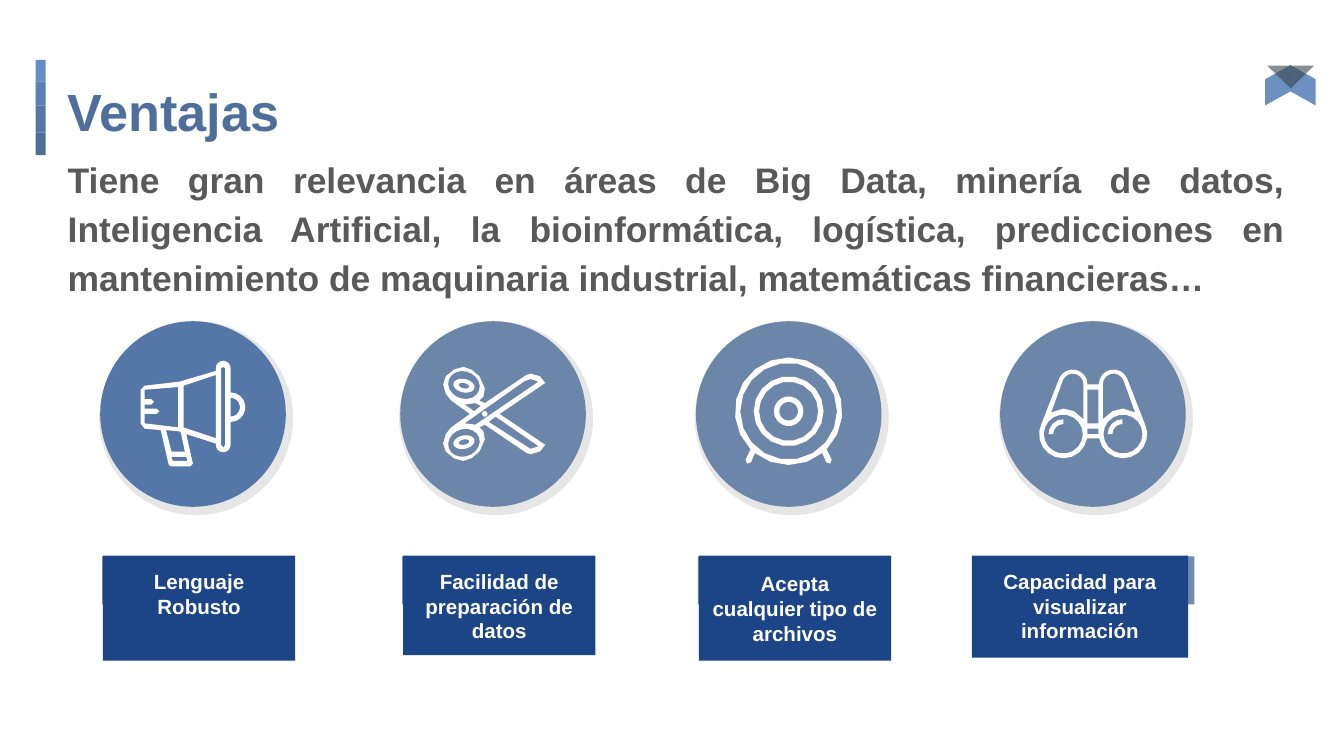
from math import cos, radians, sin

from lxml import etree
from pptx import Presentation
from pptx.dml.color import RGBColor
from pptx.enum import shapes as kinds, text as txt
from pptx.oxml import ns
from pptx.util import Pt

KIND = kinds.MSO_SHAPE
ALIGN = txt.PP_ALIGN
UNIT = 0.72  # points in one step of the icon grid


def arc(x, y, rx, ry, start, end, turn=0):
    """Points of an arc, clockwise from the right when end > start."""
    count = max(2, round(abs(end - start) / 20))
    spots = []
    for step in range(count + 1):
        angle = radians(start + (end - start) * step / count)
        a, b, tilt = rx * cos(angle), ry * sin(angle), radians(turn)
        spots.append((x + a * cos(tilt) - b * sin(tilt), y + a * sin(tilt) + b * cos(tilt)))
    return spots


def ring(x, y, rx, ry=None, turn=0):
    return arc(x, y, rx, ry or rx, 0, 360, turn)


def flip_x(points, axis):
    return [(2 * axis - x, y) for x, y in reversed(points)]


def flip_y(points, axis):
    return [(x, 2 * axis - y) for x, y in reversed(points)]


# Each icon is a list of contours, measured from the top left of its disc.
def horn():
    body = arc(91.5, 35, 5.5, 5.5, 360, 180) + [
        (86, 37), (59, 45), (33, 48), (30, 51), (30, 76), (33, 80), (45, 81), (51, 107),
        (53, 108), (67, 108), (69, 106), (64, 84), (86, 91)]
    body += arc(91.5, 92, 5.5, 5.5, 180, 0) + arc(97, 64, 11, 11, 90, -90)
    return [
        body,
        [(33, 76), (33, 69), (42, 69), (44, 67), (42, 65), (33, 65), (33, 62), (38, 62),
         (40, 60), (38, 58), (33, 58), (33, 51), (58, 49), (58, 79)],
        [(53, 97), (49, 81), (59, 82), (60, 83), (63, 97)],
        [(64, 101), (65, 104), (54, 104), (53, 101)],
        [(86, 87), (62, 79), (62, 48), (86, 40)],
        [(93, 92), (91.5, 94), (90, 92), (90, 35), (91.5, 34), (93, 35)],
        arc(97, 64, 7, 7, 90, -90),
    ]


def scissors():
    half = [(74, 69), (108, 46), (104, 41), (97, 39), (94, 40), (63, 61), (59, 59), (62, 56),
            (63, 50), (59, 41), (53, 36), (47, 34), (40, 36), (34, 41), (32, 47), (34, 54),
            (38, 59), (52, 69)]
    loop = [ring(47.5, 47.5, 12, 10.2, 20), ring(47.5, 48, 8, 5, 12), ring(47.5, 48, 4, 2, 12)]
    return [
        half + flip_y(half, 69), *loop, *[flip_y(part, 69) for part in loop],
        [(48, 62), (56, 61), (60, 63), (55, 67)],
        [(56, 77), (48, 76), (92, 45), (97, 43), (103, 45)],
        [(103, 93), (97, 95), (66, 75), (71, 71)],
        ring(63, 69, 2),
    ]


def target():
    leg = [(101, 103), (100, 106), (97, 105), (94, 98)]
    rim = arc(69, 67, 40, 40, 135, 405) + leg + arc(69, 67, 40, 40, 51, 129) + flip_x(leg, 69)
    return [rim] + [ring(69, 67, r) for r in (36, 26, 22, 11, 7)]


def glasses():
    half = arc(54, 47, 11, 11, 360, 205) + arc(47, 84, 18, 18, 207, 10)
    lens = ring(47, 84, 14.5)
    tube = [(62, 73), (55, 67), (47, 65), (38, 68)] + arc(54, 47, 8, 8, 205, 360)
    glint = arc(47, 84, 11, 11, 180, 270) + arc(47, 84, 7.5, 7.5, 270, 180)
    return [
        half + flip_x(half, 69.2),
        lens, flip_x(lens, 69.2), tube, flip_x(tube, 69.2),
        glint, [(x + 44, y) for x, y in glint],
        [(65, 80), (73, 80), (73, 84), (65, 84)],
        [(65, 51), (73, 51), (73, 76), (65, 76)],
    ]


# disc left, icon, disc colour and opacity, label text, label box, label anchor
CARDS = [
    (53.7, horn, ("5477A7", 100), "Lenguaje Robusto", (55.2, 103, 56.2), "TOP"),
    (214.4, scissors, ("4E6E9A", 80), "Facilidad de preparación de datos",
     (216, 103, 53.3), "TOP"),
    (372.8, target, ("4E6E9A", 80), "Acepta cualquier tipo de archivos",
     (374.4, 103, 56.2), "MIDDLE"),
    (535.8, glasses, ("4E6E9A", 80), "Capacidad para visualizar información",
     (520.6, 115.9, 54.7), "TOP"),
]


def paint(color, hue, alpha=100):
    """Set a fill or font colour; alpha is opacity in percent."""
    if hasattr(color, "solid"):
        color.solid()
        color = color.fore_color
    color.rgb = RGBColor.from_string(hue)
    if alpha < 100:
        node = color._xFill.find(ns.qn("a:srgbClr"))
        etree.SubElement(node, ns.qn("a:alpha")).set("val", str(alpha * 1000))


def finish(shape, hue, alpha=100):
    shape.shadow.inherit = False
    paint(shape.fill, hue, alpha)
    shape.line.fill.background()
    return shape


def block(slide, kind, box, hue, alpha=100, turn=0):
    shape = finish(slide.shapes.add_shape(kind, *map(Pt, box)), hue, alpha)
    shape.rotation = turn
    return shape


def icon(slide, left, top, parts):
    pen = None
    for part in parts:
        first, *rest = [(Pt(left + UNIT * x), Pt(top + UNIT * y)) for x, y in part]
        if pen:
            pen.move_to(*first)
        else:
            pen = slide.shapes.build_freeform(*first)
        pen.add_line_segments(rest, close=True)
    finish(pen.convert_to_shape(), "FFFFFF")


def write(shape, words, size, hue, align, anchor="TOP"):
    frame = shape.text_frame
    frame.word_wrap = True
    frame.vertical_anchor = txt.MSO_ANCHOR[anchor]
    frame.margin_left = frame.margin_right = Pt(7.2)
    frame.margin_top = frame.margin_bottom = Pt(7.2)
    frame.text = words
    para = frame.paragraphs[0]
    para.alignment = align
    font = para.runs[0].font
    font.name, font.size, font.bold = "Arial", Pt(size), True
    paint(font.color, hue)
    return para


def card(slide, left, top, draw, disc, words, label, anchor):
    block(slide, KIND.OVAL, (left - 0.6, top, 103.9, 103.9), "595959", 15)
    block(slide, KIND.OVAL, (left, top, 99.4, 99.4), *disc)
    icon(slide, left, top, draw())
    block(slide, KIND.RECTANGLE, (left + 1.1, top + 126, 103, 25.7), "4E6E9A", 80)
    x, wide, high = label
    tag = block(slide, KIND.RECTANGLE, (x, top + 125.6, wide, high), "1C4587")
    write(tag, words, 11, "FFFFFF", ALIGN.CENTER, anchor)


def stripe(slide, left, top):
    for hue, high in (("648DC6", 11.5), ("5A7FB3", 13), ("5477A7", 14.4), ("4E6E9A", 12.2)):
        block(slide, KIND.RECTANGLE, (left, top, 5.4, high), hue)
        top += high


def ribbon(slide, left, top):
    for shift, flip in ((13.3, "0"), (0, "1")):
        flap = block(slide, KIND.PARALLELOGRAM, (left + shift, top + 3.7, 21.7, 13.7),
                     "5E85B9", 91, 90)
        flap.adjustments[0] = 0.56
        flap._element.spPr.xfrm.set("flipH", flip)
    block(slide, KIND.ISOSCELES_TRIANGLE, (left + 5, top, 25.2, 12.2), "38444A", 60, 180)


def heading(slide, left, top, wide):
    title = slide.shapes.add_textbox(*map(Pt, (left, top, wide, 45.4)))
    write(title, "Ventajas", 28, "4E6F9B", ALIGN.LEFT)
    body = slide.shapes.add_textbox(*map(Pt, (left, top + 38.9, wide, 87.8)))
    para = write(body, "Tiene gran relevancia en áreas de Big Data, minería de datos, "
                 "Inteligencia Artificial, la bioinformática, logística, predicciones en "
                 "mantenimiento de maquinaria industrial, matemáticas financieras…",
                 19, "595959", ALIGN.JUSTIFY)
    para.line_spacing = 1.15
    para.space_after = Pt(16)


def main():
    deck = Presentation()
    deck.slide_width, deck.slide_height = Pt(720), Pt(405)
    slide = deck.slides.add_slide(deck.slide_layouts[6])
    stripe(slide, 19.1, 32.1)
    heading(slide, 29.2, 35.3, 666)
    for left, *rest in CARDS:
        card(slide, left, 172.1, *rest)
    ribbon(slide, 673.8, 35.1)
    deck.save("out.pptx")


if __name__ == "__main__":
    main()
